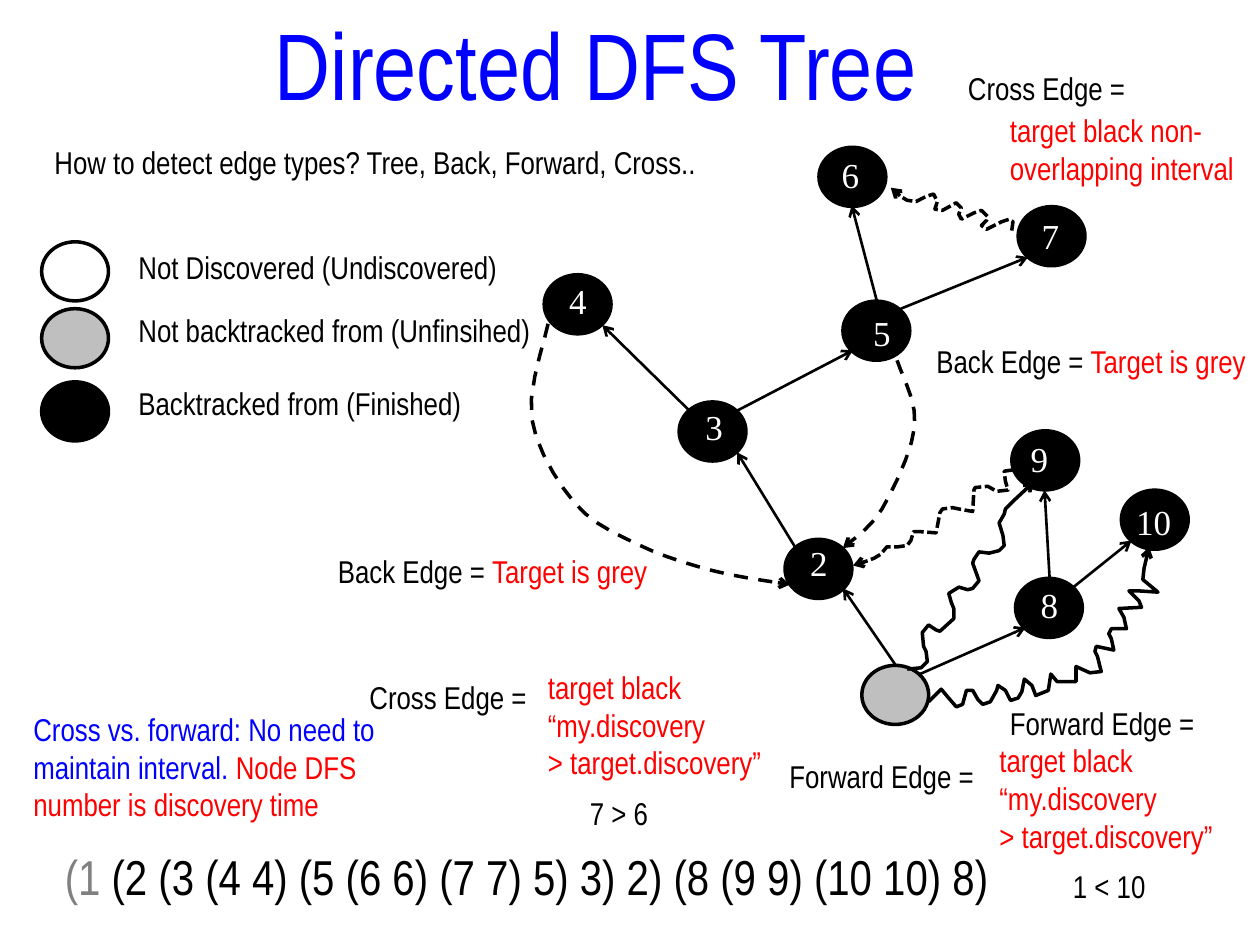
"""Build the Directed DFS Tree slide."""
from lxml import etree
from pptx import Presentation
from pptx.dml.color import RGBColor
from pptx.enum.dml import MSO_LINE
from pptx.enum.shapes import MSO_CONNECTOR, MSO_SHAPE
from pptx.enum.text import PP_ALIGN
from pptx.oxml.ns import qn
from pptx.util import Pt

OVAL, STRAIGHT = MSO_SHAPE.OVAL, MSO_CONNECTOR.STRAIGHT
DASH, SHORT_DASH = MSO_LINE.DASH, MSO_LINE.SQUARE_DOT
LEFT, CENTER = PP_ALIGN.LEFT, PP_ALIGN.CENTER
BLACK, WHITE, GREY = "000000", "FFFFFF", "BFBFBF"
RED, BLUE, DIM = "FF0000", "0000FF", "808080"
SANS, SERIF = "Arial Narrow", "Times New Roman"
NODE_W, NODE_H = 38.2, 33.8
GRID = 0.72

ROOT = (492.5, 380.2)
NODES = [
    ("2", 448.6, 308.2, 455.8, 306), ("3", 388.1, 229.7, 396, 228.2),
    ("4", 311, 157, 318.2, 156.2), ("5", 481.7, 172.1, 491.8, 174.2),
    ("7", 581.8, 118.1, 588.2, 118.8), ("6", 468, 84.2, 473.8, 84.2),
    ("8", 580.3, 330.5, 587.5, 329.8), ("10", 640.8, 280.1, 642.2, 282.2),
    ("9", 578.2, 246.2, 581.8, 246.2),
]
TREE_EDGES = [
    (394, 234.7, 344.2, 185.8), (454.3, 312.5, 421.2, 258.5),
    (511.9, 380.2, 481.7, 336.2), (421.2, 234.7, 487.4, 200.2),
    (501.1, 172.1, 486.7, 117.4), (514.8, 176.4, 587.5, 146.9),
    (525.6, 385.2, 586.1, 358.6), (599.8, 330.5, 596.9, 280.1),
    (613.4, 335.5, 646.6, 308.9),
]
BACK_4_2 = [(435, 257), (422, 332), (456, 399), (506, 432), (566, 453), (627, 464)]
BACK_5_2 = [(712, 286), (726, 338), (700, 404), (669, 435)]
FORWARD_1_9 = [
    (720, 531), (731, 530), (736, 525), (735, 517), (733, 513), (732, 502),
    (737, 496), (743, 500), (746, 501), (757, 491), (757, 483), (755, 478),
    (753, 471), (761, 466), (768, 468), (772, 467), (777, 461), (776, 458),
    (772, 447), (773, 444), (777, 438), (785, 439), (793, 437), (797, 433),
    (796, 425), (793, 415), (797, 408), (798, 404), (806, 396), (821, 382),
]
CROSS_9_2 = [
    (804, 373), (797, 374), (798, 382), (800, 389), (791, 390), (784, 386),
    (774, 387), (773, 389), (772, 406), (761, 404), (756, 403), (748, 404),
    (746, 407), (743, 423), (730, 422), (725, 422), (723, 429), (720, 433),
    (713, 434), (704, 434), (699, 440), (694, 443), (689, 445), (677, 449),
]
FORWARD_1_10 = [
    (737, 557), (742, 552), (747, 547), (752, 553), (759, 561), (764, 559),
    (767, 548), (772, 548), (776, 555), (780, 559), (786, 557), (791, 548),
    (792, 544), (798, 548), (802, 556), (808, 554), (811, 549), (813, 539),
    (819, 544), (822, 552), (832, 548), (834, 535), (839, 541), (854, 541),
    (854, 529), (865, 534), (874, 533), (871, 521), (869, 517), (870, 513),
    (884, 516), (882, 507), (880, 503), (882, 499), (894, 499), (892, 490),
    (888, 483), (906, 482), (904, 477), (896, 469), (904, 469), (919, 470),
    (907, 460), (908, 451), (912, 434),
]
CROSS_7_6 = [
    (803, 183), (804, 176), (801, 174), (795, 176), (783, 182), (779, 179),
    (783, 175), (784, 172), (779, 167), (773, 169), (763, 174), (761, 170),
    (763, 165), (759, 161), (748, 167), (742, 166), (744, 160), (741, 154),
    (735, 156), (727, 160), (720, 159), (715, 156), (707, 149),
]
OTHER_EDGES = [
    (BACK_4_2, DASH, 5), (BACK_5_2, DASH, 5), (FORWARD_1_9, None, 1),
    (CROSS_9_2, SHORT_DASH, 1), (FORWARD_1_10, None, 1), (CROSS_7_6, SHORT_DASH, 1),
]
LEGEND_X = 23.8
LEGEND = [
    (138.2, WHITE, 138.2, "Not Discovered (Undiscovered)"),
    (176.4, GREY, 174.2, "Not backtracked from (Unfinsihed)"),
    (218.2, BLACK, 216, "Backtracked from (Finished)"),
]
BACK_LABEL = [[("Back Edge = ", BLACK), ("Target is grey", RED)]]
CROSS_LABEL = [[("Cross Edge =", BLACK)]]
FORWARD_LABEL = [[("Forward Edge =", BLACK)]]
TARGET_RULE = [[(line, RED)] for line in
               ("target black", "“my.discovery", "> target.discovery”")]
INTERVAL_RULE = [[("target black non-", RED)], [("overlapping interval", RED)]]
QUESTION = [[("How to detect edge types? Tree, Back, Forward, Cross..", BLACK)]]
REMARK = [[("Cross vs. forward: No need to maintain interval.", BLUE),
           (" Node DFS number is discovery time", RED)]]
ORDER = [[("(1 ", DIM),
          ("(2 (3 (4 4) (5 (6 6) (7 7) 5) 3) 2) (8 (9 9) (10 10) 8)", BLACK)]]
LABELS = [
    (BACK_LABEL, 186, 312, 222, 28.8), (BACK_LABEL, 528, 192, 222, 28.8),
    (CROSS_LABEL, 546, 36, 137.5, 51), (INTERVAL_RULE, 570, 60, 240, 51),
    (CROSS_LABEL, 204, 384, 137.5, 51), (TARGET_RULE, 306, 378, 240, 72.7),
    (FORWARD_LABEL, 444, 429, 137.5, 51), (TARGET_RULE, 564, 420, 240, 72.7),
    (FORWARD_LABEL, 570, 399, 137.5, 51), (REMARK, 12, 402, 222, 72.7),
]
COMPARISONS = [("7 > 6", 330, 450, 48.2), ("1 < 10", 606, 492, 56.2)]


def rgb(value):
    return RGBColor.from_string(value)


def add_text(s, paras, x, y, w, h, size=18, font=SANS, align=LEFT, wrap=True, fill=None):
    sp = s.shapes.add_textbox(Pt(x), Pt(y), Pt(w), Pt(h))
    if fill:
        sp.fill.solid()
        sp.fill.fore_color.rgb = rgb(fill)
    tf = sp.text_frame
    tf.word_wrap = wrap
    for i, runs in enumerate(paras):
        p = tf.add_paragraph() if i else tf.paragraphs[0]
        p.alignment = align
        for text, color in runs:
            r = p.add_run()
            r.text = text
            r.font.size, r.font.name = Pt(size), font
            r.font.color.rgb = rgb(color)


def add_node(s, x, y, fill):
    sp = s.shapes.add_shape(OVAL, Pt(x), Pt(y), Pt(NODE_W), Pt(NODE_H))
    sp.shadow.inherit = False
    sp.fill.solid()
    sp.fill.fore_color.rgb = rgb(fill)
    sp.line.color.rgb = rgb(BLACK)
    sp.line.width = Pt(2)


def style_arrow(sp, width, dash=None):
    sp.line.color.rgb = rgb(BLACK)
    sp.line.width = Pt(width)
    if dash:
        sp.line.dash_style = dash
    ln = sp.line._get_or_add_ln()
    etree.SubElement(ln, qn("a:round"))
    etree.SubElement(ln, qn("a:tailEnd"), type="arrow")


def add_tree_edge(s, x1, y1, x2, y2):
    sp = s.shapes.add_connector(STRAIGHT, Pt(x1), Pt(y1), Pt(x2), Pt(y2))
    style_arrow(sp, 1.5)
    etree.SubElement(sp._element.spPr, qn("a:effectLst"))


def smooth(knots, steps):
    ends = [knots[0], *knots, knots[-1]]
    points = [knots[0]]
    for a, b, c, d in zip(ends, ends[1:], ends[2:], ends[3:]):
        for t in (k / steps for k in range(1, steps + 1)):
            points.append(tuple(
                q + t * (r - p + t * (2 * p - 5 * q + 4 * r - u + t * (3 * (q - r) + u - p))) / 2
                for p, q, r, u in zip(a, b, c, d)))
    return [(Pt(GRID * x), Pt(GRID * y)) for x, y in points]


def add_curve(s, knots, dash, steps):
    start, *rest = smooth(knots, steps)
    builder = s.shapes.build_freeform(*start)
    builder.add_line_segments(rest, close=False)
    sp = builder.convert_to_shape()
    sp.shadow.inherit = False
    sp.fill.background()
    style_arrow(sp, 2, dash)


def main():
    prs = Presentation()
    prs.slide_width, prs.slide_height = Pt(720), Pt(540)
    s = prs.slides.add_slide(prs.slide_layouts[6])
    add_text(s, [[("Directed DFS Tree", BLUE)]], 144, 0, 393, 72.7, size=54, align=CENTER)
    add_node(s, *ROOT, GREY)
    for _, x, y, _, _ in NODES:
        add_node(s, x, y, BLACK)
    for edge in TREE_EDGES:
        add_tree_edge(s, *edge)
    for edge in OTHER_EDGES:
        add_curve(s, *edge)
    for y, fill, text_y, text in LEGEND:
        add_node(s, LEGEND_X, y, fill)
        add_text(s, [[(text, BLACK)]], 72, text_y, 240, 28.8)
    for label in LABELS:
        add_text(s, *label)
    add_text(s, ORDER, 30, 480, 678, 41, size=28)
    for name, _, _, x, y in NODES:
        add_text(s, [[(name, WHITE)]], x, y, 14.4 + 10 * len(name), 31.7,
                 size=20, font=SERIF, wrap=False)
    add_text(s, QUESTION, 24, 78, 384, 51, fill=WHITE)
    for text, x, y, w in COMPARISONS:
        add_text(s, [[(text, BLACK)]], x, y, w, 28.8, wrap=False)
    prs.save("out.pptx")


if __name__ == "__main__":
    main()
